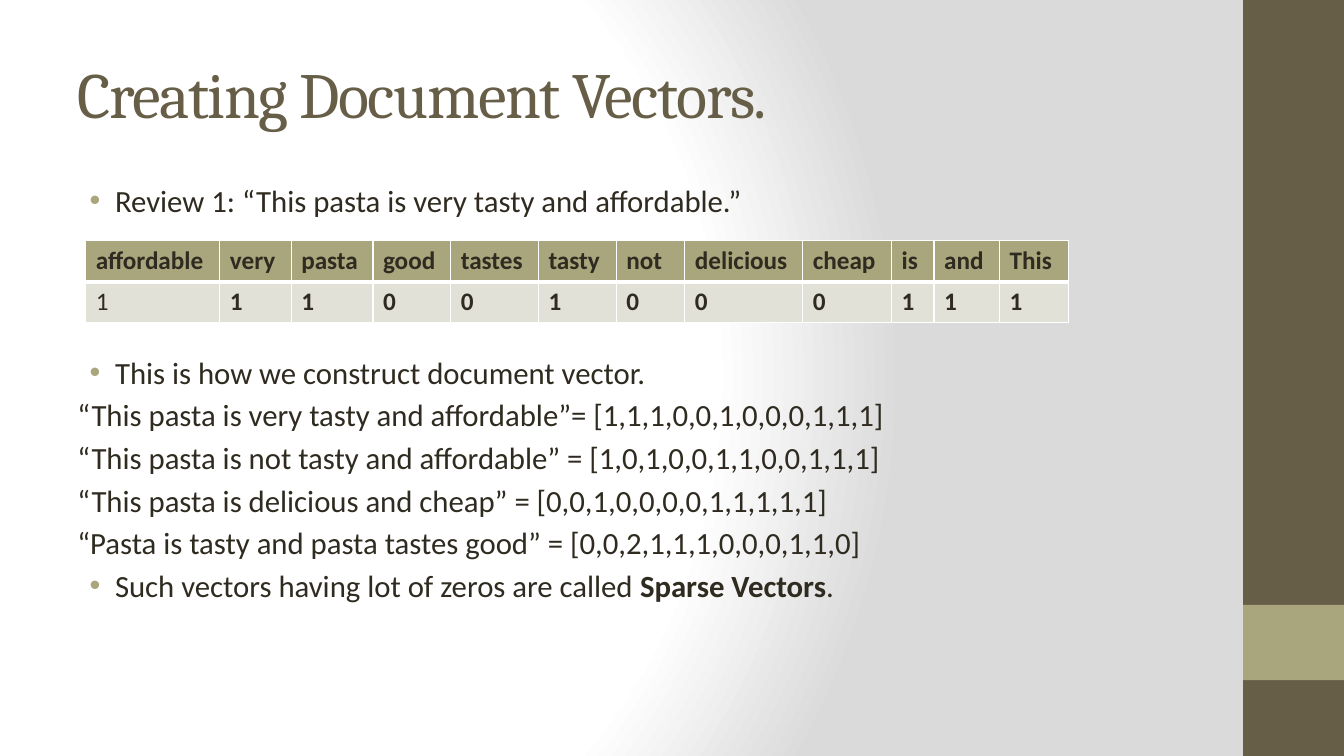
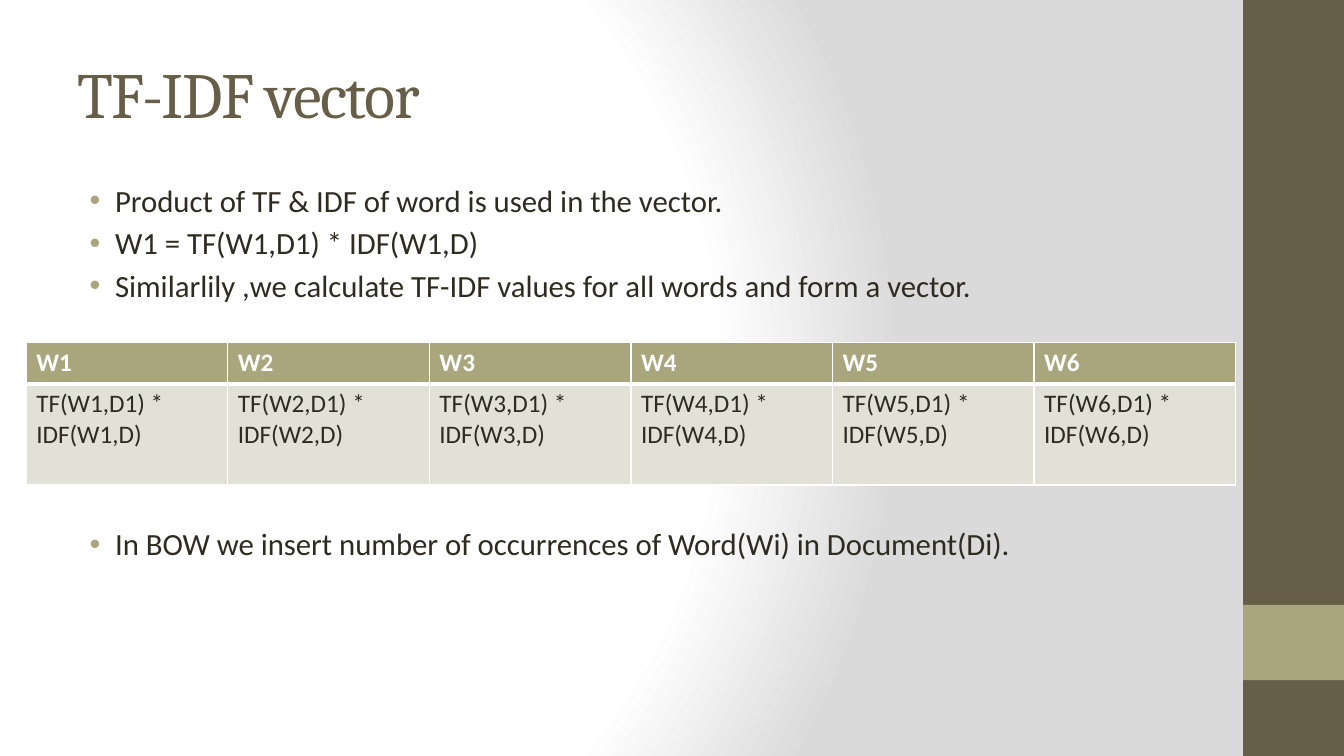
import dataclasses

import pptx
import pptx.dml.color
import pptx.enum.shapes
import pptx.enum.text
import pptx.oxml
import pptx.oxml.ns
import pptx.util

Cm = pptx.util.Cm
Pt = pptx.util.Pt
qn = pptx.oxml.ns.qn
NAMESPACE = pptx.oxml.ns.nsdecls("a")


@dataclasses.dataclass(frozen=True)
class Theme:
    # Colours
    brown: str = "675E47"
    olive: str = "A9A57C"
    pale: str = "E2E1D7"
    ink: str = "2F2B20"
    white: str = "FFFFFF"
    grey: str = "DADADA"
    # Fonts and sizes
    heading_font: str = "Cambria"
    body_font: str = "Calibri"
    title_size: int = 46
    body_size: int = 22
    cell_size: int = 18
    # Spacing in points: gap between paragraphs, full line step
    gap: float = 4
    line_step: float = 30.85


THEME = Theme()


@dataclasses.dataclass(frozen=True)
class Line:
    spans: tuple
    bullet: bool = True
    skipped_lines: int = 0


def rgb(colour):
    return pptx.dml.color.RGBColor.from_string(colour)


def apply_format(target, values):
    for name, value in values.items():
        setattr(target, name, value)


def add_span(para, text, font, size, colour, bold=False):
    span = para.add_run()
    span.text = text
    apply_format(span.font, {"name": font, "size": Pt(size), "bold": bold})
    span.font.color.rgb = rgb(colour)
    return span


def add_box(page, left, top, width, height, anchor):
    box = page.shapes.add_textbox(Cm(left), Cm(top), Cm(width), Cm(height))
    apply_format(box.text_frame, {"word_wrap": True, "vertical_anchor": anchor})
    return box.text_frame


# Shared background and side bands
def set_background(master):
    master.background.fill.gradient()
    gradient = master.element.cSld.find(".//" + qn("a:gradFill"))
    stops = "".join(
        f'<a:gs pos="{position * 1000}"><a:srgbClr val="{colour}"/></a:gs>'
        for position, colour in ((0, THEME.white), (75, THEME.white), (100, THEME.grey))
    )
    gradient.getparent().replace(gradient, pptx.oxml.parse_xml(
        f'<a:gradFill {NAMESPACE} rotWithShape="1"><a:gsLst>{stops}</a:gsLst>'
        '<a:path path="circle">'
        '<a:fillToRect l="20000" t="50000" r="100000" b="50000"/>'
        '</a:path></a:gradFill>'
    ))


def add_band(page, top, height, colour):
    band = page.shapes.add_shape(
        pptx.enum.shapes.MSO_SHAPE.RECTANGLE, Cm(31.33), Cm(top), Cm(2.54), Cm(height))
    band.shadow.inherit = False
    band.fill.solid()
    band.fill.fore_color.rgb = rgb(colour)
    band.line.fill.background()


def add_page(deck, title):
    page = deck.slides.add_slide(deck.slide_layouts[6])
    add_band(page, 0, 19.05, THEME.brown)
    add_band(page, 15.24, 1.9, THEME.olive)
    frame = add_box(page, 1.7, 0.76, 28.22, 3.18, pptx.enum.text.MSO_ANCHOR.MIDDLE)
    span = add_span(frame.paragraphs[0], title, THEME.heading_font,
                    THEME.title_size, THEME.brown)
    span.font._element.set("spc", "-100")
    return page


# Body text
def add_bullet(para):
    properties = para._p.get_or_add_pPr()
    apply_format_values = {"marL": Cm(0.95), "indent": Cm(-0.64)}
    for name, value in apply_format_values.items():
        properties.set(name, str(int(value)))
    for xml in (
        f'<a:buClr {NAMESPACE}><a:srgbClr val="{THEME.olive}"/></a:buClr>',
        f'<a:buFont {NAMESPACE} typeface="Arial"/>',
        f'<a:buChar {NAMESPACE} char="•"/>',
    ):
        properties.append(pptx.oxml.parse_xml(xml))


def add_body(page, lines):
    frame = add_box(page, 1.7, 4.45, 28.22, 13.34, pptx.enum.text.MSO_ANCHOR.TOP)
    for index, line in enumerate(lines):
        para = frame.add_paragraph() if index else frame.paragraphs[0]
        if line.bullet:
            add_bullet(para)
        if index:
            para.space_before = Pt(THEME.gap + line.skipped_lines * THEME.line_step)
        for text, bold in line.spans:
            add_span(para, text, THEME.body_font, THEME.body_size, THEME.ink, bold)


def plain(text, **options):
    return Line(((text, False),), **options)


# Tables
def set_borders(cell, widths):
    properties = cell._tc.get_or_add_tcPr()
    for index, (side, width) in enumerate(widths.items()):
        properties.insert(index, pptx.oxml.parse_xml(
            f'<a:{side} {NAMESPACE} w="{int(Pt(width))}"><a:solidFill>'
            f'<a:srgbClr val="{THEME.white}"/></a:solidFill></a:{side}>'
        ))


def add_grid(page, left, top, widths, heights, header, values,
             header_colour, value_bold):
    grid = page.shapes.add_table(
        2, len(header), Cm(left), Cm(top), Cm(sum(widths)), Cm(sum(heights))).table
    apply_format(grid, {"first_row": False, "horz_banding": False})
    for column, width in zip(grid.columns, widths):
        column.width = Cm(width)
    rows = (
        (header, THEME.olive, header_colour, [True] * len(header), (1, 3)),
        (values, THEME.pale, THEME.ink, value_bold, (3, 1)),
    )
    for row, height, (texts, fill, colour, bolds, (above, below)) in zip(
            grid.rows, heights, rows):
        row.height = Cm(height)
        for cell, text, bold in zip(row.cells, texts, bolds):
            cell.fill.solid()
            cell.fill.fore_color.rgb = rgb(fill)
            set_borders(cell, {"lnL": 1, "lnR": 1, "lnT": above, "lnB": below})
            add_span(cell.text_frame.paragraphs[0], text, THEME.body_font,
                     THEME.cell_size, colour, bold)


# Pages
def add_document_vectors(deck):
    page = add_page(deck, "Creating Document Vectors.")
    vectors = (
        "“This pasta is very tasty and affordable”= [1,1,1,0,0,1,0,0,0,1,1,1]",
        "“This pasta is not tasty and affordable” = [1,0,1,0,0,1,1,0,0,1,1,1]",
        "“This pasta is delicious and cheap” = [0,0,1,0,0,0,0,1,1,1,1,1]",
        "“Pasta is tasty and pasta tastes good” = [0,0,2,1,1,1,0,0,0,1,1,0]",
    )
    add_body(page, [
        plain("Review 1: “This pasta is very tasty and affordable.”"),
        plain("This is how we construct document vector.", skipped_lines=3),
        *(plain(vector, bullet=False) for vector in vectors),
        Line((("Such vectors having lot of zeros are called ", False),
              ("Sparse Vectors", True), (".", False))),
    ])
    words = "affordable very pasta good tastes tasty not delicious cheap is and This".split()
    widths = (3.38, 1.8, 2.06, 1.96, 2.21, 1.96, 1.73, 2.97, 2.24, 1.07, 1.65, 1.73)
    add_grid(page, 2.16, 6.07, widths, (1.03, 1.03), words, "111001000111",
             THEME.ink, [False] + [True] * (len(words) - 1))


def add_tf_idf(deck):
    page = add_page(deck, "TF-IDF vector")
    add_body(page, [
        plain("Product of TF & IDF of word is used in the vector."),
        plain("W1 = TF(W1,D1) * IDF(W1,D)"),
        plain("Similarlily ,we calculate TF-IDF values for all words and form a vector."),
        plain("In BOW we insert number of occurrences of Word(Wi) in Document(Di).",
              skipped_lines=5),
    ])
    words = [f"W{number}" for number in range(1, 7)]
    products = [f"TF({word},D1) * IDF({word},D)" for word in words]
    add_grid(page, 0.66, 8.64, [5.08] * len(words), (1.03, 2.55), words, products,
             THEME.white, [False] * len(words))


def main():
    deck = pptx.Presentation()
    apply_format(deck, {"slide_width": Cm(33.87), "slide_height": Cm(19.05)})
    set_background(deck.slide_master)
    add_document_vectors(deck)
    add_tf_idf(deck)
    deck.save("out.pptx")


if __name__ == "__main__":
    main()
